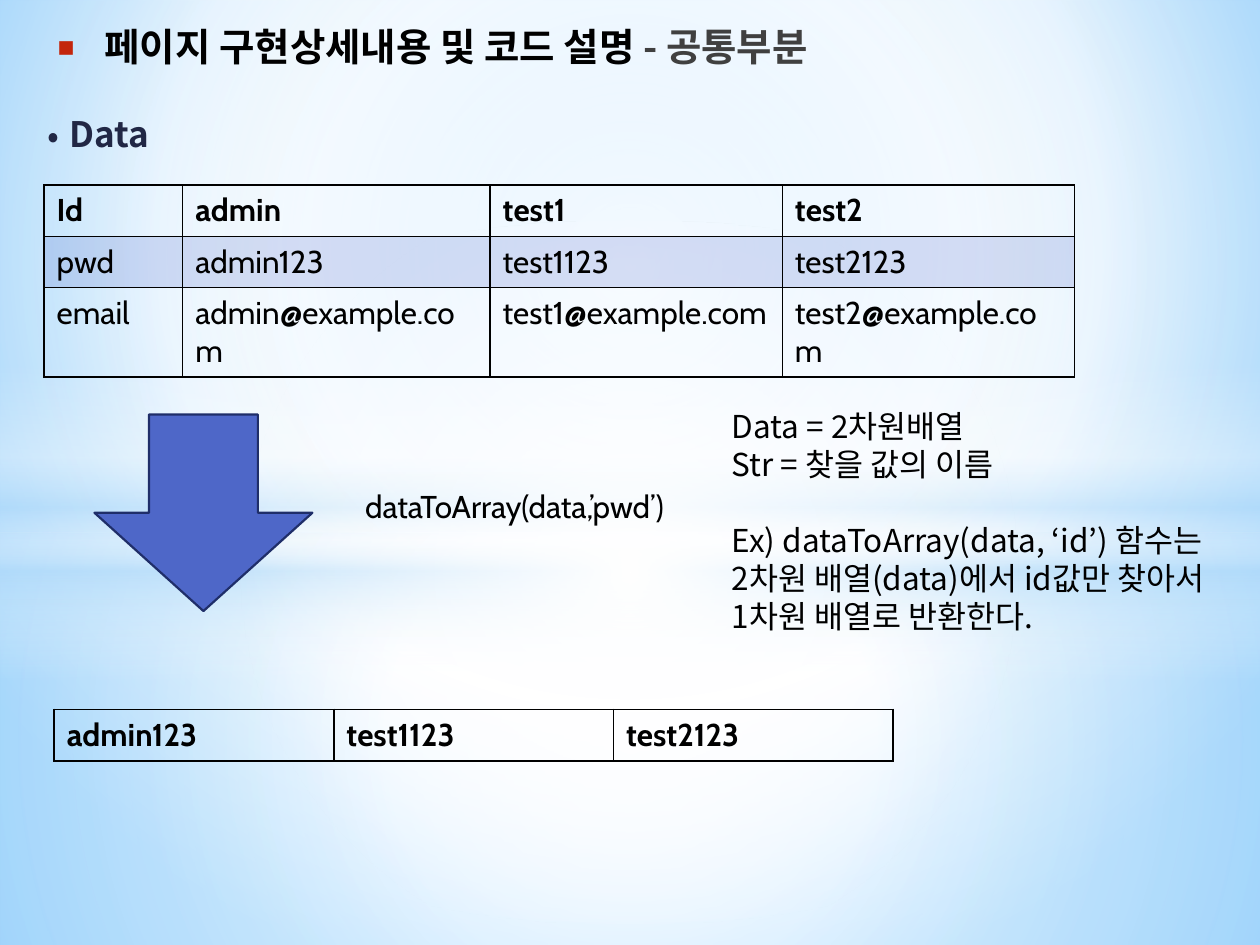
from lxml.etree import SubElement
from pptx import Presentation
from pptx.dml.color import RGBColor
from pptx.enum.shapes import MSO_SHAPE as SHAPE
from pptx.enum.text import MSO_ANCHOR as ANCHOR, MSO_AUTO_SIZE as AUTO_SIZE, PP_ALIGN as ALIGN
from pptx.oxml.ns import qn
from pptx.util import Inches, Pt

COLORS = {
    "black": "000000", "gray": "404040", "navy": "212745", "red": "C3260C",
    "blue": "4E67C8", "outline": "1F2E69", "white": "FFFFFF", "pale": "B4DCFA",
    "sky": "9ED5FF", "deep": "5BB9FF",
}
LATIN = "Cabin"
KOREAN = "Noto Sans CJK KR"


def add_run(paragraph, text, size, font, color, bold=False):
    run = paragraph.add_run()
    run.text = text
    run.font.size = Pt(size)
    run.font.bold = bold
    run.font.name = font
    run.font.color.rgb = RGBColor.from_string(COLORS[color])
    SubElement(run.font._element, qn("a:ea"), typeface=font)


def set_gradient(fill, owner, stops, focus=None):
    fill.gradient()
    gradient = next(owner.iter(qn("a:gradFill")))
    for child in list(gradient):
        gradient.remove(child)
    stop_list = SubElement(gradient, qn("a:gsLst"))
    for position, color, opacity in stops:
        stop = SubElement(stop_list, qn("a:gs"), pos=str(position * 1000))
        value = SubElement(stop, qn("a:srgbClr"), val=COLORS[color])
        if opacity < 100:
            SubElement(value, qn("a:alpha"), val=str(opacity * 1000))
    if focus:
        circle = SubElement(gradient, qn("a:path"), path="circle")
        sides = {side: str(part * 1000) for side, part in zip("ltrb", focus)}
        SubElement(circle, qn("a:fillToRect"), **sides)
    else:
        SubElement(gradient, qn("a:lin"), ang="5400000", scaled="0")


presentation = Presentation()
presentation.slide_width = Inches(10)
presentation.slide_height = Inches(7.5)
slide = presentation.slides.add_slide(presentation.slide_layouts[1])
shapes = slide.shapes

set_gradient(slide.background.fill, slide._element,
             [(0, "sky", 100), (60, "white", 100), (100, "deep", 100)], (20, 10, 20, 60))

CENTER = (50, 50, 50, 50)
glows = [
    (SHAPE.RECTANGLE, (0, 4.23, 10, 3.27), CENTER,
     [(0, "white", 91), (37, "white", 76), (100, "pale", 79)]),
    (SHAPE.RECTANGLE, (0, 0, 10, 4.23), CENTER,
     [(0, "white", 89), (48, "white", 62), (100, "pale", 79)]),
    (SHAPE.RECTANGLE, (0, 2.9, 10, 2.5), None,
     [(0, "white", 0), (29, "white", 30), (45, "pale", 40),
      (55, "white", 26), (65, "pale", 60), (100, "white", 0)]),
    (SHAPE.OVAL, (0, 1.75, 10, 5.58), CENTER, [(0, "white", 100), (54, "white", 0)]),
]
for kind, box, focus, stops in glows:
    glow = shapes.add_shape(kind, *map(Inches, box))
    glow.shadow.inherit = False
    glow.line.fill.background()
    set_gradient(glow.fill, glow._element, stops, focus)

headings = [
    (shapes.title, (0.23, 0.13, 9.57, 0.47), ANCHOR.MIDDLE, 0.5, ("▪", "red", 130), 22,
     [("페이지 구현상세내용 및 코드 설명", "black"), (" - 공통부분", "gray")]),
    (slide.placeholders[1], (0.28, 0.84, 9, 6.22), ANCHOR.TOP, 0.17, ("•", "navy", 100), 20,
     [("Data", "navy")]),
]
for heading, box, anchor, indent, bullet, size, runs in headings:
    shapes._spTree.append(heading._element)
    heading.left, heading.top, heading.width, heading.height = map(Inches, box)
    frame = heading.text_frame
    frame.auto_size = AUTO_SIZE.NONE
    frame.vertical_anchor = anchor
    paragraph = frame.paragraphs[0]
    paragraph.alignment = ALIGN.LEFT
    paragraph.space_before = Pt(0)
    properties = paragraph._p.get_or_add_pPr()
    properties.set("marL", str(Inches(indent)))
    properties.set("indent", str(-Inches(indent)))
    mark, mark_color, mark_size = bullet
    bullet_color = SubElement(properties, qn("a:buClr"))
    SubElement(bullet_color, qn("a:srgbClr"), val=COLORS[mark_color])
    SubElement(properties, qn("a:buSzPct"), val=str(mark_size * 1000))
    SubElement(properties, qn("a:buFont"), typeface=KOREAN)
    SubElement(properties, qn("a:buChar"), char=mark)
    for text, color in runs:
        add_run(paragraph, text, size, KOREAN, color, True)

users = ["admin", "test1", "test2"]
passwords = [f"{user}123" for user in users]
emails = [f"{user}@example.com" for user in users]
tables = [
    (0.35, 1.47, [1.1, 2.44, 2.32, 2.32], [0.4, 0.4, 0.54],
     [["Id"] + users, ["pwd"] + passwords, ["email"] + emails]),
    (0.43, 5.63, [2.22] * 3, [0.41], [passwords]),
]
for left, top, widths, heights, rows in tables:
    frame = shapes.add_table(len(rows), len(widths), Inches(left), Inches(top),
                             Inches(sum(widths)), Inches(sum(heights)))
    table = frame.table
    table.first_row = table.horz_banding = False
    for column, width in zip(table.columns, widths):
        column.width = Inches(width)
    for row_index, (row, height) in enumerate(zip(rows, heights)):
        table.rows[row_index].height = Inches(height)
        for column_index, text in enumerate(row):
            cell = table.cell(row_index, column_index)
            add_run(cell.text_frame.paragraphs[0], text, 18, LATIN, "black", row_index == 0)
            properties = cell._tc.get_or_add_tcPr()
            for side in ("lnL", "lnR", "lnT", "lnB"):
                border = SubElement(properties, qn(f"a:{side}"), w=str(Pt(1)))
                border_fill = SubElement(border, qn("a:solidFill"))
                SubElement(border_fill, qn("a:srgbClr"), val=COLORS["black"])
            if row_index == 1:
                cell.fill.solid()
                cell.fill.fore_color.rgb = RGBColor.from_string(COLORS["blue"])
                tint = properties.find(qn("a:solidFill")).find(qn("a:srgbClr"))
                SubElement(tint, qn("a:alpha"), val="20000")
            else:
                cell.fill.background()

arrow = shapes.add_shape(SHAPE.DOWN_ARROW, Inches(0.75), Inches(3.29), Inches(1.73), Inches(1.56))
arrow.shadow.inherit = False
arrow.fill.solid()
arrow.fill.fore_color.rgb = RGBColor.from_string(COLORS["blue"])
arrow.line.color.rgb = RGBColor.from_string(COLORS["outline"])
arrow.line.width = Pt(1.25)

call_label = shapes.add_textbox(Inches(2.8), Inches(3.82), Inches(3), Inches(0.4))
call_label.text_frame.word_wrap = False
add_run(call_label.text_frame.paragraphs[0], "dataToArray(data,’pwd’)", 18, LATIN, "black")

explanation = shapes.add_textbox(Inches(5.71), Inches(2.87), Inches(4.3), Inches(2.22))
frame = explanation.text_frame
frame.word_wrap = False
frame.vertical_anchor = ANCHOR.BOTTOM
lines = [
    "Data = 2차원배열",
    "Str = 찾을 값의 이름",
    "Ex) dataToArray(data, ‘id’) 함수는",
    "2차원 배열(data)에서 id값만 찾아서",
    "1차원 배열로 반환한다.",
]
for index, line in enumerate(lines):
    paragraph = frame.paragraphs[0] if index == 0 else frame.add_paragraph()
    paragraph.line_spacing = Pt(21.8)
    if index == 2:
        paragraph.space_before = Pt(21.8)
    add_run(paragraph, line, 18, KOREAN, "black")

presentation.save("out.pptx")
